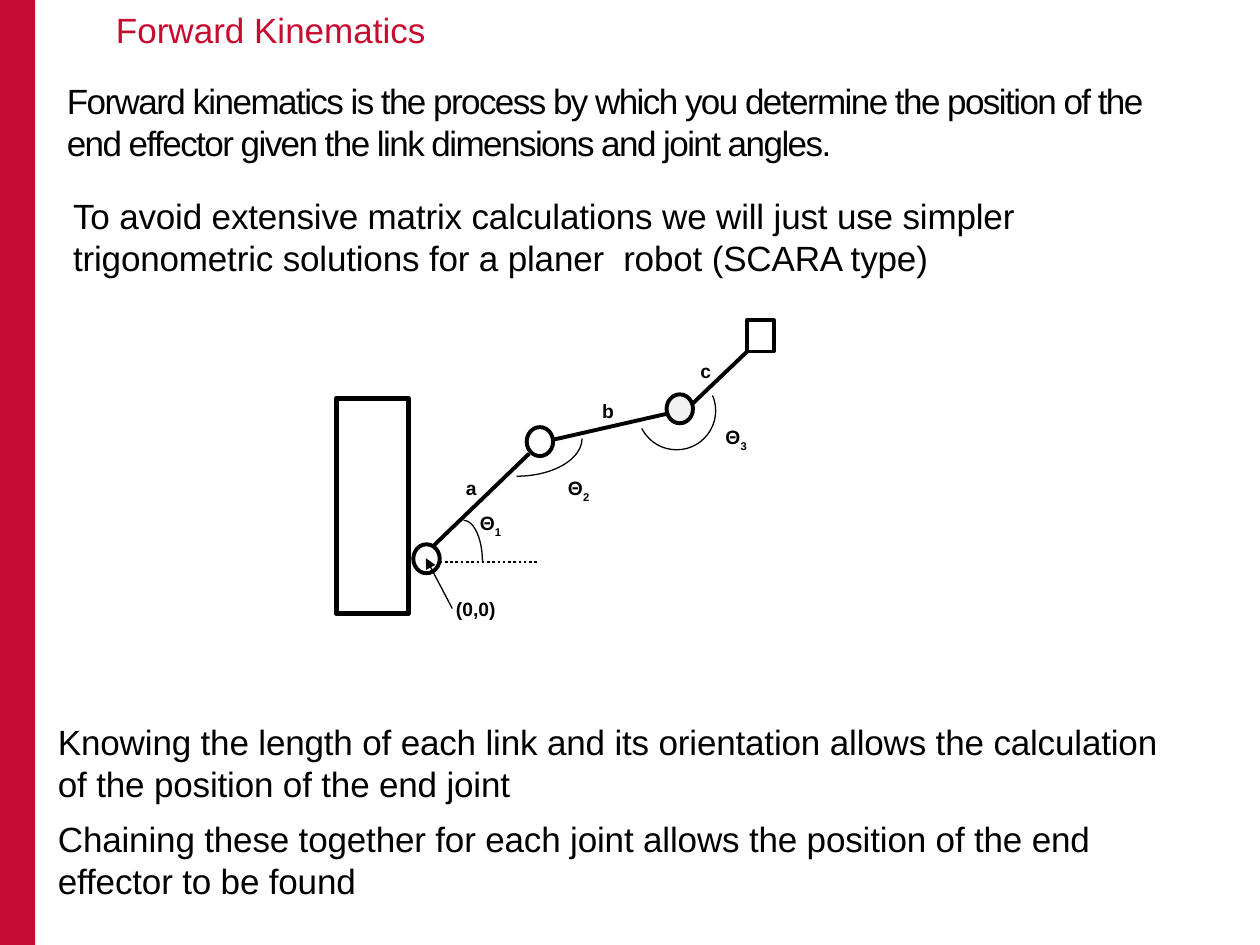
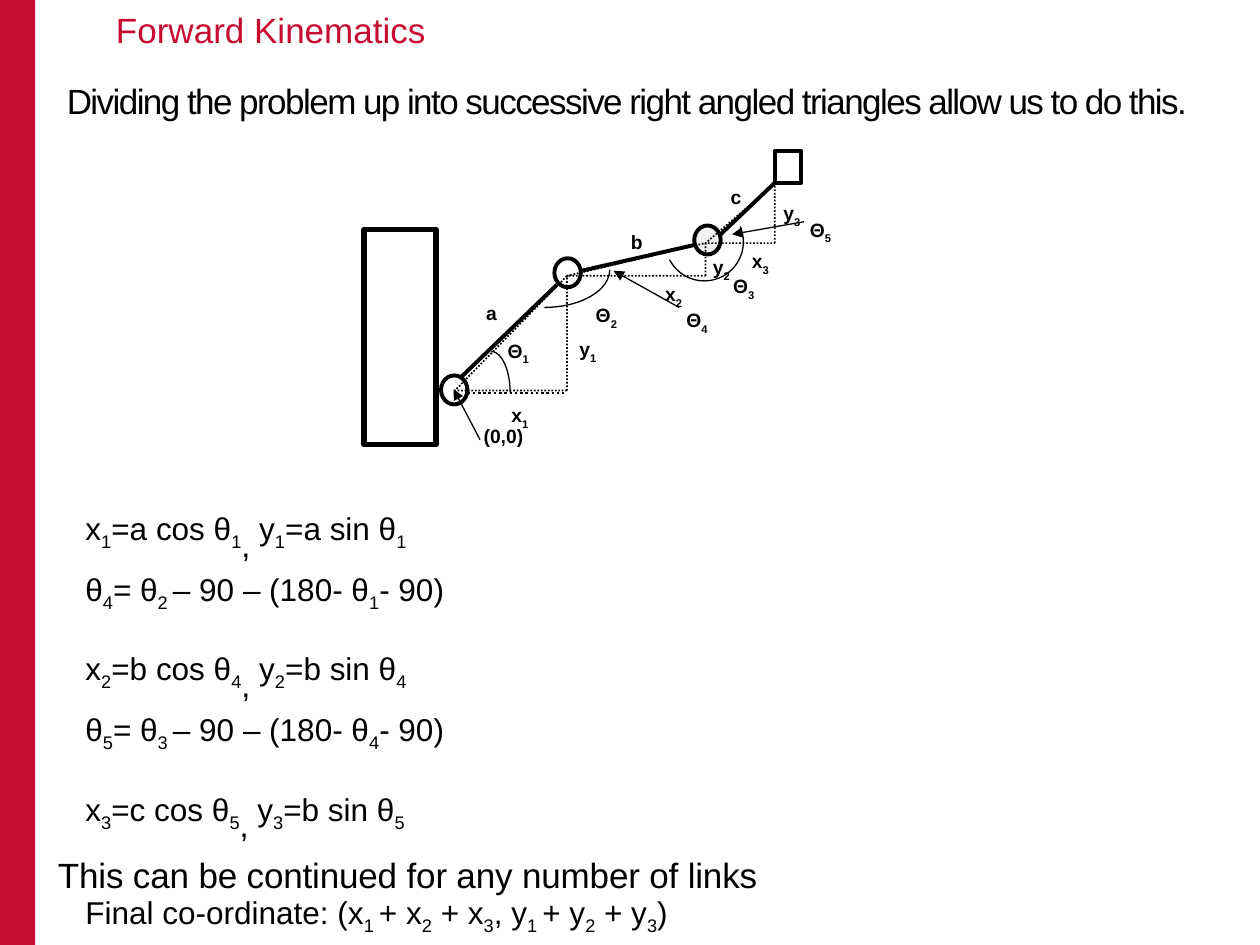
from dataclasses import dataclass

from lxml.etree import SubElement
from pptx import Presentation
from pptx.dml.color import RGBColor
from pptx.enum.dml import MSO_LINE
from pptx.enum.shapes import MSO_CONNECTOR, MSO_SHAPE
from pptx.enum.text import MSO_ANCHOR, MSO_AUTO_SIZE, PP_ALIGN
from pptx.oxml.ns import qn
from pptx.util import Inches, Pt


@dataclass(frozen=True)
class Theme:
    font: str = "Arial"
    red: RGBColor = RGBColor(0xC6, 0x0C, 0x30)
    black: RGBColor = RGBColor(0, 0, 0)
    white: RGBColor = RGBColor(0xFF, 0xFF, 0xFF)
    grey: RGBColor = RGBColor(0xF2, 0xF2, 0xF2)
    body_size: int = 20
    formula_size: int = 18
    comma_size: int = 32
    label_size: int = 11
    thin: float = 0.75
    dotted: float = 1
    reference: float = 1.5
    link: float = 2.25
    base: float = 3


THEME = Theme()

# Content: statements are (left, top, height, tracking, text),
# labels are (left, top, text) with subscripts in braces
TITLE = "Forward Kinematics"

SLIDES = [
    {
        "statements": [
            (0.53, 0.62, 0.69, -0.9,
             "Forward kinematics is the process by which you determine the "
             "position of the end effector given the link dimensions and joint angles."),
            (0.58, 1.53, 0.69, -0.1,
             "To avoid extensive matrix calculations we will just use simpler "
             "trigonometric solutions for a planer  robot (SCARA type)"),
            (0.46, 5.71, 0.69, -0.1,
             "Knowing the length of each link and its orientation allows the "
             "calculation of the position of the end joint"),
            (0.46, 6.48, 0.69, -0.1,
             "Chaining these together for each joint allows the position of "
             "the end effector to be found"),
        ],
        "arm_offset": (0, 0),
        "labels": [
            (3.6, 3.73, "a"), (4.68, 3.12, "b"), (5.46, 2.8, "c"),
            (3.71, 4.01, "Θ{1}"), (4.41, 3.73, "Θ{2}"), (5.66, 3.33, "Θ{3}"),
            (3.52, 4.69, "(0,0)"),
        ],
        "triangle_corners": [],
        "pointers": [],
        "formulas": [],
    },
    {
        "statements": [
            (0.53, 0.62, 0.35, -0.9,
             "Dividing the problem up into successive right angled triangles "
             "allow us to do this."),
            (0.46, 6.76, 0.35, -0.1, "This can be continued for any number of links"),
        ],
        "arm_offset": (0.22, -1.34),
        "labels": [
            (3.76, 2.34, "a"), (4.91, 1.78, "b"), (5.7, 1.42, "c"),
            (3.93, 2.64, "Θ{1}"), (4.63, 2.36, "Θ{2}"), (5.72, 2.13, "Θ{3}"),
            (5.35, 2.4, "Θ{4}"), (6.33, 1.68, "Θ{5}"), (3.74, 3.32, "(0,0)"),
            (3.96, 3.15, "x{1}"), (5.18, 2.19, "x{2}"), (5.87, 1.93, "x{3}"),
            (4.5, 2.63, "y{1}"), (5.56, 1.98, "y{2}"), (6.12, 1.55, "y{3}"),
        ],
        "triangle_corners": [(3.61, 3.1), (4.5, 2.19), (5.6, 1.93), (6.15, 1.46)],
        "pointers": [((5.39, 2.44), (4.87, 2.15)), ((6.38, 1.76), (5.81, 1.86))],
        "formulas": [
            "x{1}=a cos θ{1}{,} y{1}=a sin θ{1}",
            "θ{4}= θ{2 }– 90 – (180- θ{1}- 90)",
            "x{2}=b cos θ{4}{,} y{2}=b sin θ{4}",
            "θ{5}= θ{3 }– 90 – (180- θ{4}- 90)",
            "x{3}=c cos θ{5}{,} y{3}=b sin θ{5}",
            "Final co-ordinate: (x{1 }+ x{2} + x{3}, y{1 }+ y{2} + y{3})",
        ],
    },
]

# Robot arm geometry, before the slide's offset
BASE = (2.67, 3.16, 0.57, 1.71)
EFFECTOR = (5.93, 2.54, 0.21, 0.25)
JOINT_SIZE = (0.21, 0.23)
JOINTS = [(3.28, 4.32, THEME.white), (4.18, 3.39, THEME.white), (5.29, 3.13, THEME.grey)]
LINKS = [((3.38, 4.39), (4.2, 3.6)), ((4.39, 3.49), (5.31, 3.28)), ((5.5, 3.2), (5.93, 2.79))]
REFERENCE = ((3.49, 4.46), (4.26, 4.46))
ORIGIN_POINTER = ((3.59, 4.83), (3.38, 4.43))
# Arcs: centre x and y, radius x and y, start and end degrees
ANGLES = [
    (3.68, 4.46, 0.15, 0.33, 270, 0),
    (4.1, 3.48, 0.52, 0.3, 0, 90),
    (5.37, 3.26, 0.31, 0.31, 337, 153),
]
ARC_UNITS_PER_DEGREE = 0.6


# Formatting helpers
def apply(target, values):
    for name, value in values.items():
        setattr(target, name, value)


def inches(*lengths):
    return [Inches(length) for length in lengths]


def add_run(paragraph, text, size, color=THEME.black, bold=False, **run_values):
    run = paragraph.add_run()
    run.text = text
    apply(run.font, {"name": THEME.font, "size": Pt(size), "bold": bold})
    run.font.color.rgb = color
    for name, value in run_values.items():
        run.font._rPr.set(name, str(value))


def add_marked_text(paragraph, text, size, drop, bold=False):
    """Write text, lowering whatever stands in braces."""
    plain, *pieces = text.split("{")
    if plain:
        add_run(paragraph, plain, size, bold=bold)
    for piece in pieces:
        lowered, _, plain = piece.partition("}")
        if lowered == ",":
            add_run(paragraph, lowered, THEME.comma_size, baseline=-30000)
        else:
            add_run(paragraph, lowered, size, bold=bold, baseline=drop)
        if plain:
            add_run(paragraph, plain, size, bold=bold)


def indent(paragraph, length):
    properties = paragraph._p.get_or_add_pPr()
    properties.set("marL", str(Inches(length)))
    properties.set("indent", "0")


def add_text_frame(shapes, left, top, width, height, **frame_values):
    frame = shapes.add_textbox(*inches(left, top, width, height)).text_frame
    apply(frame, {"word_wrap": True, **frame_values})
    return frame


def add_outline(shapes, kind, box, weight, fill=None):
    shape = shapes.add_shape(kind, *inches(*box))
    shape.shadow.inherit = False
    if fill is None:
        shape.fill.background()
    else:
        shape.fill.solid()
        shape.fill.fore_color.rgb = fill
    shape.line.color.rgb = THEME.black
    shape.line.width = Pt(weight)
    return shape


def add_line(shapes, ends, weight, dash=None, arrow=False):
    start, end = ends
    connector = shapes.add_connector(MSO_CONNECTOR.STRAIGHT, *inches(*start, *end))
    connector.line.color.rgb = THEME.black
    connector.line.width = Pt(weight)
    if dash:
        connector.line.dash_style = dash
    if arrow:
        SubElement(connector.line._get_or_add_ln(), qn("a:tailEnd"), type="triangle")
    SubElement(connector._element.spPr, qn("a:effectLst"))


# Shared parts
def add_band(layout, slide):
    """Put the red side band on the layout, behind everything."""
    for placeholder in list(layout.placeholders)[1:]:
        placeholder._element.getparent().remove(placeholder._element)
    band = slide.shapes.add_shape(MSO_SHAPE.RECTANGLE, *inches(0, 0, 0.28, 7.5))
    band.shadow.inherit = False
    band.fill.solid()
    band.fill.fore_color.rgb = THEME.red
    band.line.fill.background()
    layout.shapes._spTree.insert(2, band._element)


def set_title(slide):
    title = slide.shapes.title
    apply(title, dict(zip(("left", "top", "width", "height"), inches(0.32, 0.02, 8.94, 0.56))))
    apply(title.text_frame, {"vertical_anchor": MSO_ANCHOR.TOP, "word_wrap": True,
                             "auto_size": MSO_AUTO_SIZE.NONE})
    heading = title.text_frame.paragraphs[0]
    heading.alignment = PP_ALIGN.LEFT
    indent(heading, 0.5)
    add_run(heading, TITLE, THEME.body_size, THEME.red)


def add_statement(slide, left, top, height, tracking, text):
    frame = add_text_frame(slide.shapes, left, top, 9.01, height,
                           margin_left=0, margin_right=0, margin_bottom=0,
                           margin_top=Inches(0.01),
                           auto_size=MSO_AUTO_SIZE.SHAPE_TO_FIT_TEXT)
    add_run(frame.paragraphs[0], text, THEME.body_size, spc=round(tracking * 100))


def add_arm(shapes, offset):
    dx, dy = offset

    def moved(x, y, *rest):
        return (x + dx, y + dy, *rest)

    def moved_ends(ends):
        return [moved(*point) for point in ends]

    add_outline(shapes, MSO_SHAPE.RECTANGLE, moved(*BASE), THEME.base, THEME.white)
    for link in LINKS:
        add_line(shapes, moved_ends(link), THEME.link)
    for x, y, fill in JOINTS:
        add_outline(shapes, MSO_SHAPE.OVAL, moved(x, y, *JOINT_SIZE), THEME.link, fill)
    add_outline(shapes, MSO_SHAPE.RECTANGLE, moved(*EFFECTOR), THEME.link, THEME.white)
    for x, y, rx, ry, start, end in ANGLES:
        arc = add_outline(shapes, MSO_SHAPE.ARC,
                          moved(x - rx, y - ry, 2 * rx, 2 * ry), THEME.thin)
        for index, degrees in enumerate((start, end)):
            arc.adjustments[index] = degrees * ARC_UNITS_PER_DEGREE
    add_line(shapes, moved_ends(REFERENCE), THEME.reference, dash=MSO_LINE.ROUND_DOT)
    add_line(shapes, moved_ends(ORIGIN_POINTER), THEME.thin, arrow=True)


def add_triangles(shapes, corners):
    """Span a right triangle between each pair of neighbouring joints."""
    for (left, bottom), (right, top) in zip(corners, corners[1:]):
        triangle = add_outline(shapes, MSO_SHAPE.RIGHT_TRIANGLE,
                               (left, top, right - left, bottom - top), THEME.dotted)
        triangle.line.dash_style = MSO_LINE.ROUND_DOT
        triangle._element.spPr.find(qn("a:xfrm")).set("flipH", "1")


def add_formulas(slide, formulas):
    frame = add_text_frame(slide.shapes, 0.28, 3.7, 8.24, 2.73,
                           auto_size=MSO_AUTO_SIZE.SHAPE_TO_FIT_TEXT)
    for index, formula in enumerate(formulas):
        line = frame.add_paragraph() if index else frame.paragraphs[0]
        apply(line, {"alignment": PP_ALIGN.JUSTIFY, "line_spacing": 1.15})
        indent(line, 0.3)
        add_marked_text(line, formula, THEME.formula_size, -25000)
    line.space_before = Pt(24)


def main():
    deck = Presentation()
    deck.slide_width, deck.slide_height = inches(10, 7.5)
    layout = deck.slide_layouts[5]

    for number, content in enumerate(SLIDES):
        slide = deck.slides.add_slide(layout)
        if number == 0:
            add_band(layout, slide)
        set_title(slide)
        for statement in content["statements"]:
            add_statement(slide, *statement)

        # Diagram
        diagram = slide.shapes.add_group_shape().shapes
        add_arm(diagram, content["arm_offset"])
        add_triangles(diagram, content["triangle_corners"])
        for pointer in content["pointers"]:
            add_line(diagram, pointer, THEME.thin, arrow=True)
        for left, top, label in content["labels"]:
            frame = add_text_frame(diagram, left, top, 1.43, 0.6)
            add_marked_text(frame.paragraphs[0], label, THEME.label_size, -30000, bold=True)

        if content["formulas"]:
            add_formulas(slide, content["formulas"])

    deck.save("out.pptx")


if __name__ == "__main__":
    main()
